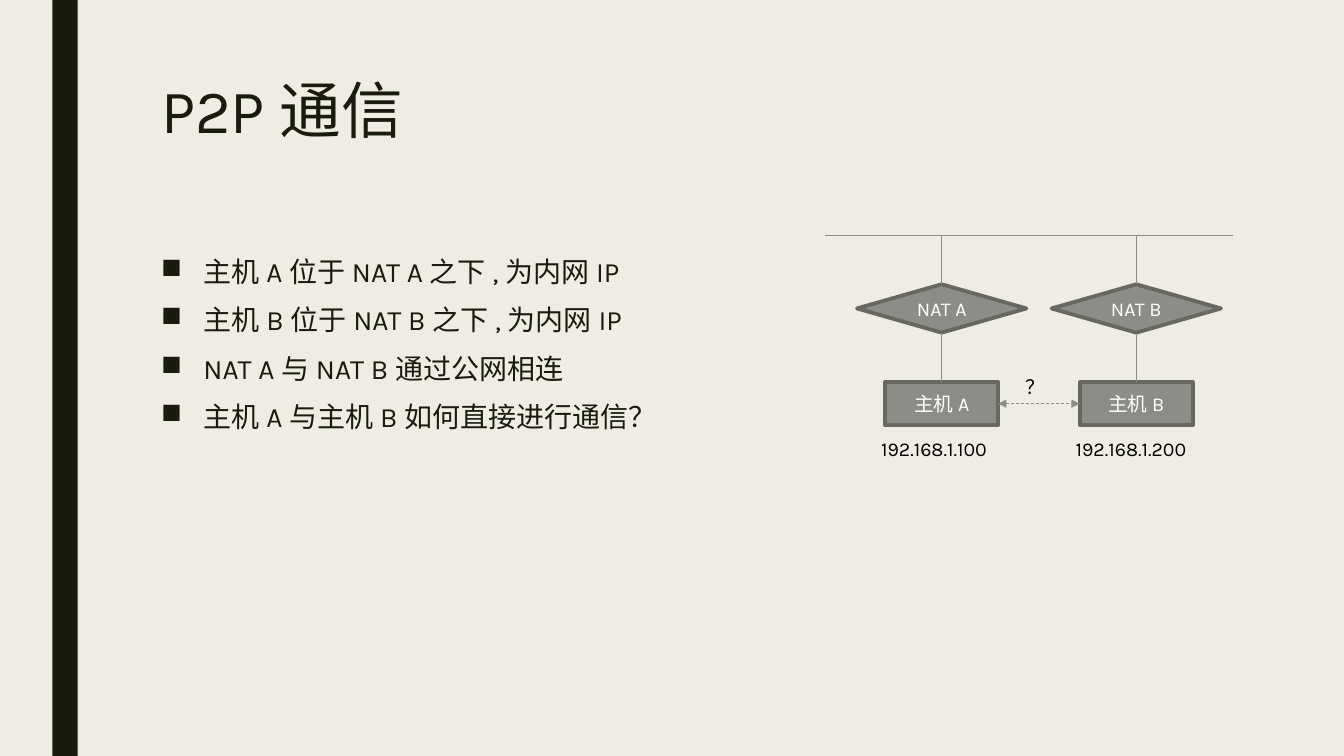
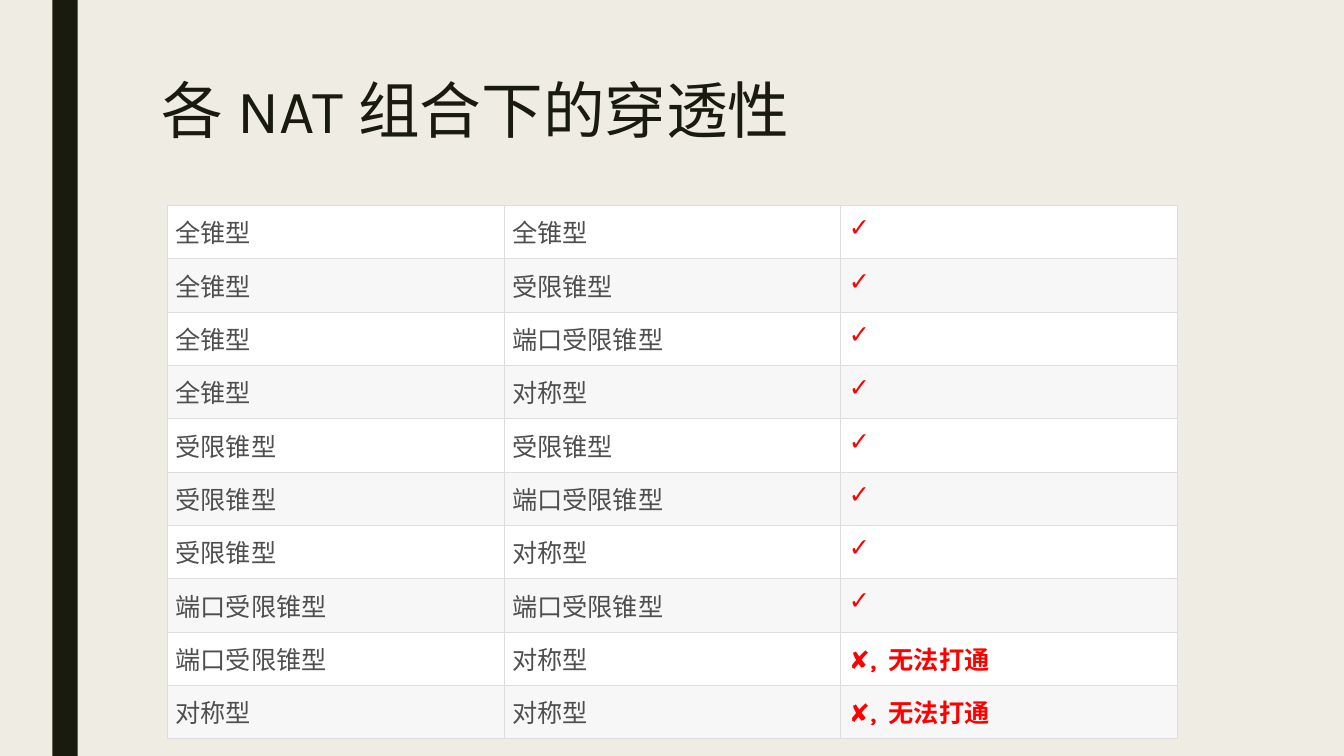
from dataclasses import dataclass

from lxml import etree
from pptx import Presentation
from pptx.dml.color import RGBColor
from pptx.enum.dml import MSO_LINE
from pptx.enum.shapes import MSO_CONNECTOR, MSO_SHAPE
from pptx.enum.text import MSO_ANCHOR, PP_ALIGN
from pptx.oxml.ns import qn
from pptx.util import Inches, Pt

RECTANGLE = MSO_SHAPE.RECTANGLE
DECISION = MSO_SHAPE.FLOWCHART_DECISION
STRAIGHT = MSO_CONNECTOR.STRAIGHT
DASH = MSO_LINE.DASH
MIDDLE = MSO_ANCHOR.MIDDLE
LEFT, CENTER = PP_ALIGN.LEFT, PP_ALIGN.CENTER
TOP_SITE, LEFT_SITE, BOTTOM_SITE, RIGHT_SITE = range(4)


@dataclass(frozen=True)
class Theme:
    """Colours, font and type sizes of the presentation."""
    font: str = "Karla"
    paper: str = "EFEDE3"
    ink: str = "191B0E"
    node: str = "8C8D86"
    node_edge: str = "686863"
    white: str = "FFFFFF"
    black: str = "000000"
    stripe: str = "F7F7F7"
    grid: str = "DDDDDD"
    cell: str = "4F4F4F"
    verdict: str = "FF0000"
    title_size: int = 44
    body_size: int = 20
    table_size: int = 18
    label_size: int = 14


@dataclass(frozen=True)
class Box:
    """A region in inches."""
    left: float
    top: float
    width: float
    height: float

    def emu(self):
        """Return the four lengths for python-pptx."""
        return [Inches(v) for v in (self.left, self.top, self.width, self.height)]


THEME = Theme()
BAND = Box(0.52, 0, 0.25, 7.5)
TITLE = Box(1.5, 0.75, 10.5, 1.62)
BODY = Box(1.5, 2.5, 10.5, 3.92)
NETWORK = Box(8.18, 2.34, 4.05, 2.3)
MATRIX = Box(1.66, 2.04, 10.02, 5.29)

POINTS = ["主机A位于NAT A之下,为内网IP", "主机B位于NAT B之下,为内网IP",
          "NAT A与NAT B通过公网相连", "主机A与主机B如何直接进行通信？"]
HOSTS = [("NAT A", "主机A", "192.168.1.100"), ("NAT B", "主机B", "192.168.1.200")]
FULL, RESTRICTED, PORT, SYMMETRIC = "全锥型", "受限锥型", "端口受限锥型", "对称型"
OPEN, BLOCKED = "✓", "✘, 无法打通"
PAIRS = [(FULL, FULL, OPEN), (FULL, RESTRICTED, OPEN), (FULL, PORT, OPEN),
         (FULL, SYMMETRIC, OPEN), (RESTRICTED, RESTRICTED, OPEN),
         (RESTRICTED, PORT, OPEN), (RESTRICTED, SYMMETRIC, OPEN),
         (PORT, PORT, OPEN), (PORT, SYMMETRIC, BLOCKED),
         (SYMMETRIC, SYMMETRIC, BLOCKED)]


def rgb(code):
    """Turn a hex code into a colour."""
    return RGBColor.from_string(code)


def style(paragraph, size, color, align=LEFT, bold=False):
    """Set the font and alignment of a paragraph."""
    paragraph.alignment = align
    font = paragraph.font
    font.name, font.size, font.bold = THEME.font, Pt(size), bold
    font.color.rgb = rgb(color)


def add_text(slide, box, text, size, color):
    """Add a wrapping text box and return its first paragraph."""
    frame = slide.shapes.add_textbox(*box.emu()).text_frame
    frame.word_wrap = True
    frame.text = text
    style(frame.paragraphs[0], size, color)
    return frame.paragraphs[0]


def add_base(deck, heading):
    """Add a slide with background, side band and title."""
    slide = deck.slides.add_slide(deck.slide_layouts[6])
    slide.background.fill.solid()
    slide.background.fill.fore_color.rgb = rgb(THEME.paper)
    band = slide.shapes.add_shape(RECTANGLE, *BAND.emu())
    band.shadow.inherit = False
    band.fill.solid()
    band.fill.fore_color.rgb = rgb(THEME.ink)
    band.line.fill.background()
    title = add_text(slide, TITLE, heading, THEME.title_size, THEME.ink)
    title.line_spacing = 0.89
    return slide


def add_bullets(slide, box, points):
    """Add the square-bulleted list."""
    frame = slide.shapes.add_textbox(*box.emu()).text_frame
    frame.word_wrap = True
    frame.text = "\n".join(points)
    for point in frame.paragraphs:
        point.line_spacing = 0.94
        point.space_before, point.space_after = Pt(10), Pt(2)
        props = point._p.get_or_add_pPr()
        props.set("marL", str(Inches(0.42)))
        props.set("indent", str(-Inches(0.42)))
        etree.SubElement(props, qn("a:buChar"), char="■")
        style(point, THEME.body_size, THEME.ink)


def add_node(slide, kind, box, label):
    """Add a labelled network node."""
    node = slide.shapes.add_shape(kind, *box.emu())
    node.shadow.inherit = False
    node.fill.solid()
    node.fill.fore_color.rgb = rgb(THEME.node)
    node.line.color.rgb = rgb(THEME.node_edge)
    node.line.width = Pt(2.75)
    node.text_frame.text = label
    node.text_frame.vertical_anchor = MIDDLE
    style(node.text_frame.paragraphs[0], THEME.label_size, THEME.white, CENTER)
    return node


def add_link(slide, start=(0, 0), end=(0, 0)):
    """Add a thin line between two points in inches."""
    link = slide.shapes.add_connector(STRAIGHT, *[Inches(v) for v in (*start, *end)])
    link.line.color.rgb = rgb(THEME.node)
    link.line.width = Pt(0.5)
    etree.SubElement(link._element.spPr, qn("a:effectLst"))
    return link


def add_host(slide, box, nat_name, host_name, address):
    """Add one column from the public line to its host, and return the host."""
    center = box.left + box.width / 2
    host = add_node(slide, RECTANGLE, Box(center - 0.56, box.top + 1.45, 1.12, 0.43), host_name)
    nat = add_node(slide, DECISION, Box(box.left, box.top + 0.48, box.width, 0.48), nat_name)
    uplink = add_link(slide, end=(center, box.top))
    uplink.begin_connect(nat, TOP_SITE)
    downlink = add_link(slide)
    downlink.begin_connect(host, TOP_SITE)
    downlink.end_connect(nat, BOTTOM_SITE)
    add_text(slide, Box(center - 0.7, box.top + 1.95, 1.4, 0.34), address,
             THEME.label_size, THEME.black)
    return host


def add_network(slide, box, columns):
    """Add the public line, the host columns and the open question between them."""
    add_link(slide, (box.left, box.top), (box.left + box.width, box.top))
    first, second = [
        add_host(slide, Box(box.left + 0.32 + 1.93 * i, box.top, 1.68, box.height), *column)
        for i, column in enumerate(columns)]
    direct = add_link(slide)
    direct.begin_connect(first, RIGHT_SITE)
    direct.end_connect(second, LEFT_SITE)
    direct.line.dash_style = DASH
    for end in ("a:headEnd", "a:tailEnd"):
        etree.SubElement(direct.line._get_or_add_ln(), qn(end), type="triangle")
    add_text(slide, Box(box.left + 1.89, box.top + 1.33, 0.46, 0.34), "？",
             THEME.label_size, THEME.black)


def add_borders(cell):
    """Draw a thin line on each side of a cell."""
    props = cell._tc.get_or_add_tcPr()
    for index, side in enumerate(("a:lnL", "a:lnR", "a:lnT", "a:lnB")):
        edge = etree.Element(qn(side), w=str(Pt(0.75)))
        fill = etree.SubElement(edge, qn("a:solidFill"))
        etree.SubElement(fill, qn("a:srgbClr"), val=THEME.grid)
        props.insert(index, edge)


def add_matrix(slide, box, rows):
    """Add the striped table of NAT pairs and their verdicts."""
    table = slide.shapes.add_table(len(rows), len(rows[0]), *box.emu()).table
    table.first_row = table.horz_banding = False
    for r, row in enumerate(rows):
        table.rows[r].height = Inches(box.height / len(rows))
        for c, text in enumerate(row):
            cell = table.cell(r, c)
            cell.text = text
            cell.margin_left = cell.margin_right = Inches(0.08)
            cell.margin_top = cell.margin_bottom = Inches(0.08)
            cell.fill.solid()
            cell.fill.fore_color.rgb = rgb(THEME.stripe if r % 2 else THEME.white)
            add_borders(cell)
            verdict = c == len(row) - 1
            style(cell.text_frame.paragraphs[0], THEME.table_size,
                  THEME.verdict if verdict else THEME.cell, bold=verdict)


def build():
    """Build and save the presentation."""
    deck = Presentation()
    deck.slide_width, deck.slide_height = Inches(13.33), Inches(7.5)
    p2p = add_base(deck, "P2P通信")
    add_bullets(p2p, BODY, POINTS)
    add_network(p2p, NETWORK, HOSTS)
    traversal = add_base(deck, "各NAT组合下的穿透性")
    add_matrix(traversal, MATRIX, PAIRS)
    deck.save("out.pptx")


build()
